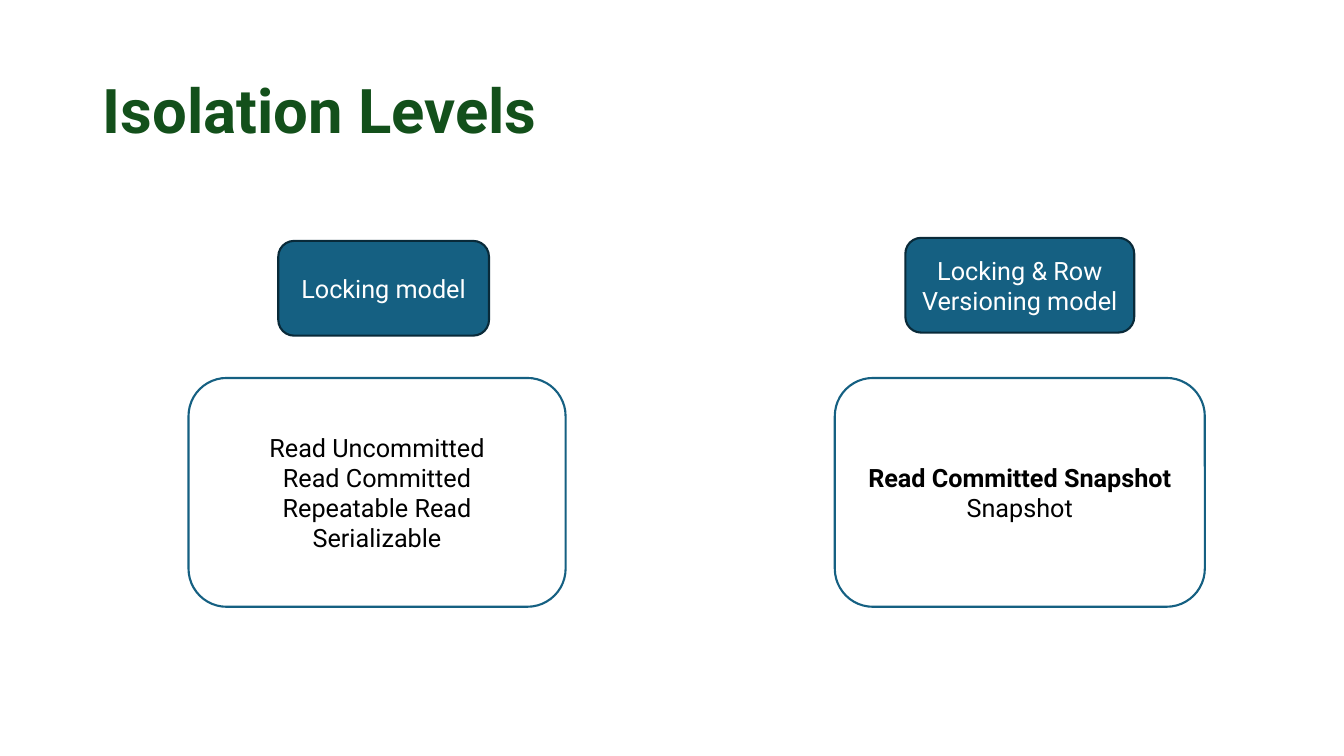
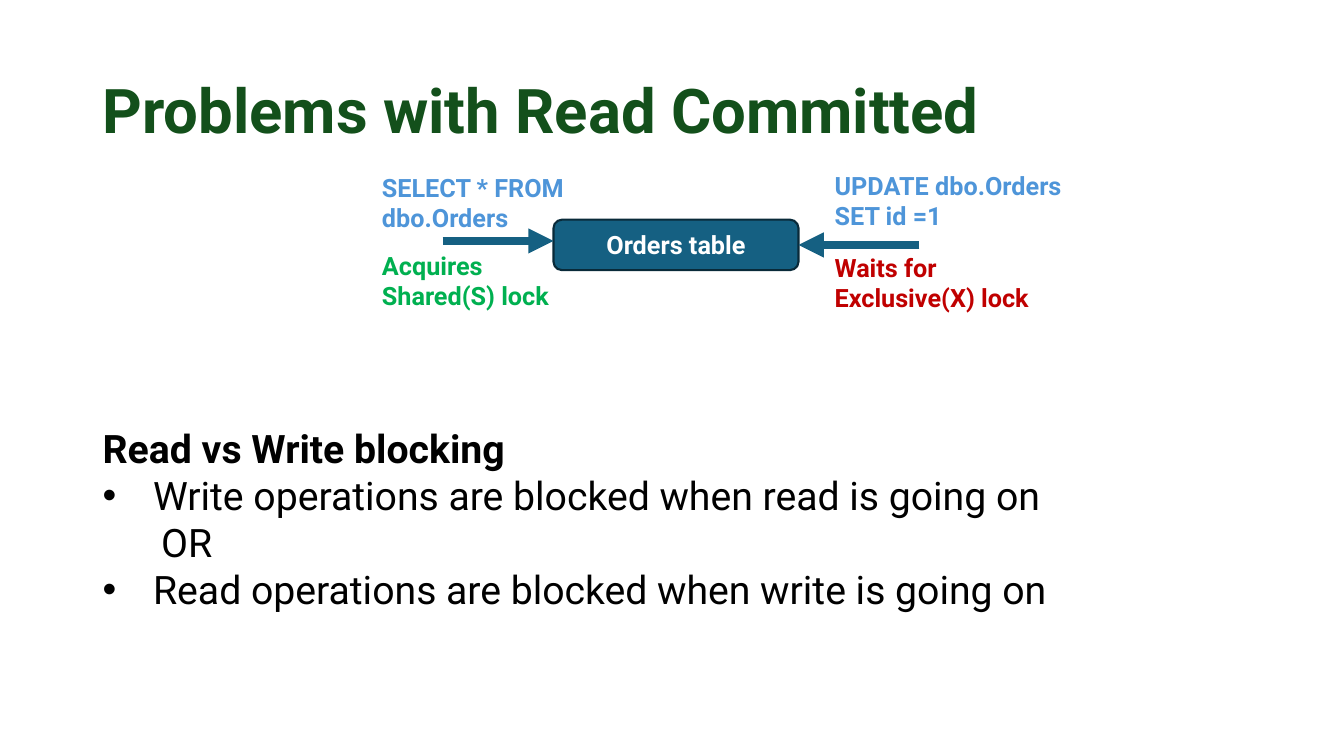
from lxml import etree
from pptx import Presentation, util as u
from pptx.dml import color
from pptx.enum import shapes, text
from pptx.oxml import ns

PX = 9144
BLUE, DARK_BLUE, LIGHT_BLUE = "156082", "092A39", "4E95D9"
WHITE, BLACK = "FFFFFF", "000000"
TITLE_GREEN, GREEN, RED = "13501B", "00B050", "C00000"


def px(length):
    return u.Emu(length * PX)


def rgb(value):
    return color.RGBColor.from_string(value)


def add_element(parent, tag, **attributes):
    return etree.SubElement(parent, ns.qn(tag), **attributes)


class Deck:
    """Holds the shared style and the current slide."""

    font_name = "Roboto"
    body_size = 18
    title_size = 44
    outline = 1.5
    arrow_width = 6

    def __init__(self, width, height):
        self.presentation = Presentation()
        self.presentation.slide_width = px(width)
        self.presentation.slide_height = px(height)
        self.slide = None

    def add_slide(self, title):
        layout = self.presentation.slide_layouts[6]
        self.slide = self.presentation.slides.add_slide(layout)
        frame = self.text_box((92, 40, 1150, 145))
        frame.vertical_anchor = text.MSO_ANCHOR.MIDDLE
        paragraph = self.add_line(frame, title, TITLE_GREEN, self.title_size, bold=True)
        paragraph.line_spacing = 0.9

    def text_box(self, box):
        frame = self.slide.shapes.add_textbox(*map(px, box)).text_frame
        frame.word_wrap = True
        return frame

    def add_line(self, frame, line, ink, size=body_size, bold=False, bullet=False, indent=0):
        paragraph = frame.paragraphs[0]
        if paragraph.runs:
            paragraph = frame.add_paragraph()
        paragraph.add_run().text = line
        if bullet or indent:
            properties = paragraph._p.get_or_add_pPr()
            properties.set("marL", str(px(indent)))
            properties.set("indent", str(px(-indent if bullet else 0)))
        if bullet:
            add_element(properties, "a:buFont", typeface="Arial")
            add_element(properties, "a:buChar", char="•")
        font = paragraph.font
        font.name, font.size, font.bold = self.font_name, u.Pt(size), bold
        font.color.rgb = rgb(ink)
        return paragraph

    def label(self, box, line, ink):
        self.add_line(self.text_box(box), line, ink, bold=True)

    def rounded_box(self, box, lines, fill=BLUE, line=DARK_BLUE, ink=WHITE, bold_lines=()):
        shape = self.slide.shapes.add_shape(
            shapes.MSO_SHAPE.ROUNDED_RECTANGLE, *map(px, box))
        shape.shadow.inherit = False
        shape.fill.solid()
        shape.fill.fore_color.rgb = rgb(fill)
        shape.line.color.rgb = rgb(line)
        shape.line.width = u.Pt(self.outline)
        frame = shape.text_frame
        frame.word_wrap = True
        frame.vertical_anchor = text.MSO_ANCHOR.MIDDLE
        for entry in lines:
            paragraph = self.add_line(frame, entry, ink, bold=entry in bold_lines)
            paragraph.alignment = text.PP_ALIGN.CENTER
        return shape

    def arrow(self, start, end, target=None, side=0):
        connector = self.slide.shapes.add_connector(
            shapes.MSO_CONNECTOR.STRAIGHT, *map(px, start + end))
        connector.line.color.rgb = rgb(BLUE)
        connector.line.width = u.Pt(self.arrow_width)
        add_element(connector.line._get_or_add_ln(), "a:tailEnd", type="triangle")
        add_element(connector._element.spPr, "a:effectLst")
        if target is not None:
            connector.end_connect(target, side)

    def save(self):
        self.presentation.save("out.pptx")


def isolation_levels(deck):
    deck.add_slide("Isolation Levels")
    outlined = {"fill": WHITE, "line": BLUE, "ink": BLACK}
    deck.rounded_box((187, 375, 374, 227),
                     ["Read Uncommitted", "Read Committed", "Repeatable Read", "Serializable"],
                     **outlined)
    deck.rounded_box((828, 375, 367, 227), ["Read Committed Snapshot", "Snapshot"],
                     bold_lines=["Read Committed Snapshot"], **outlined)
    deck.rounded_box((276, 239, 209, 94), ["Locking model"])
    deck.rounded_box((898, 236, 227, 94), ["Locking & Row Versioning model"])


def read_committed_problems(deck):
    deck.add_slide("Problems with Read Committed")
    table_name = "Orders table"
    orders = deck.rounded_box((549, 218, 243, 50), [table_name], bold_lines=[table_name])
    deck.arrow((439, 239), (549, 239))
    deck.arrow((912, 243), (792, 243), orders, 3)
    deck.label((369, 166, 207, 71), "SELECT * FROM dbo.Orders", LIGHT_BLUE)
    deck.label((369, 243, 217, 71), "Acquires Shared(S) lock", GREEN)
    deck.label((818, 164, 255, 71), "UPDATE dbo.Orders SET id =1", LIGHT_BLUE)
    deck.label((818, 245, 217, 71), "Waits for Exclusive(X) lock", RED)

    summary = deck.text_box((92, 416, 1142, 199))
    for line, style in (
        ("Read vs Write blocking", {"bold": True}),
        ("Write operations are blocked when read is going on", {"bullet": True, "indent": 50}),
        ("OR", {"indent": 58}),
        ("Read operations are blocked when write is going on", {"bullet": True, "indent": 50}),
    ):
        deck.add_line(summary, line, BLACK, 28, **style)


def main():
    deck = Deck(1333, 750)
    isolation_levels(deck)
    read_committed_problems(deck)
    deck.save()


if __name__ == "__main__":
    main()
